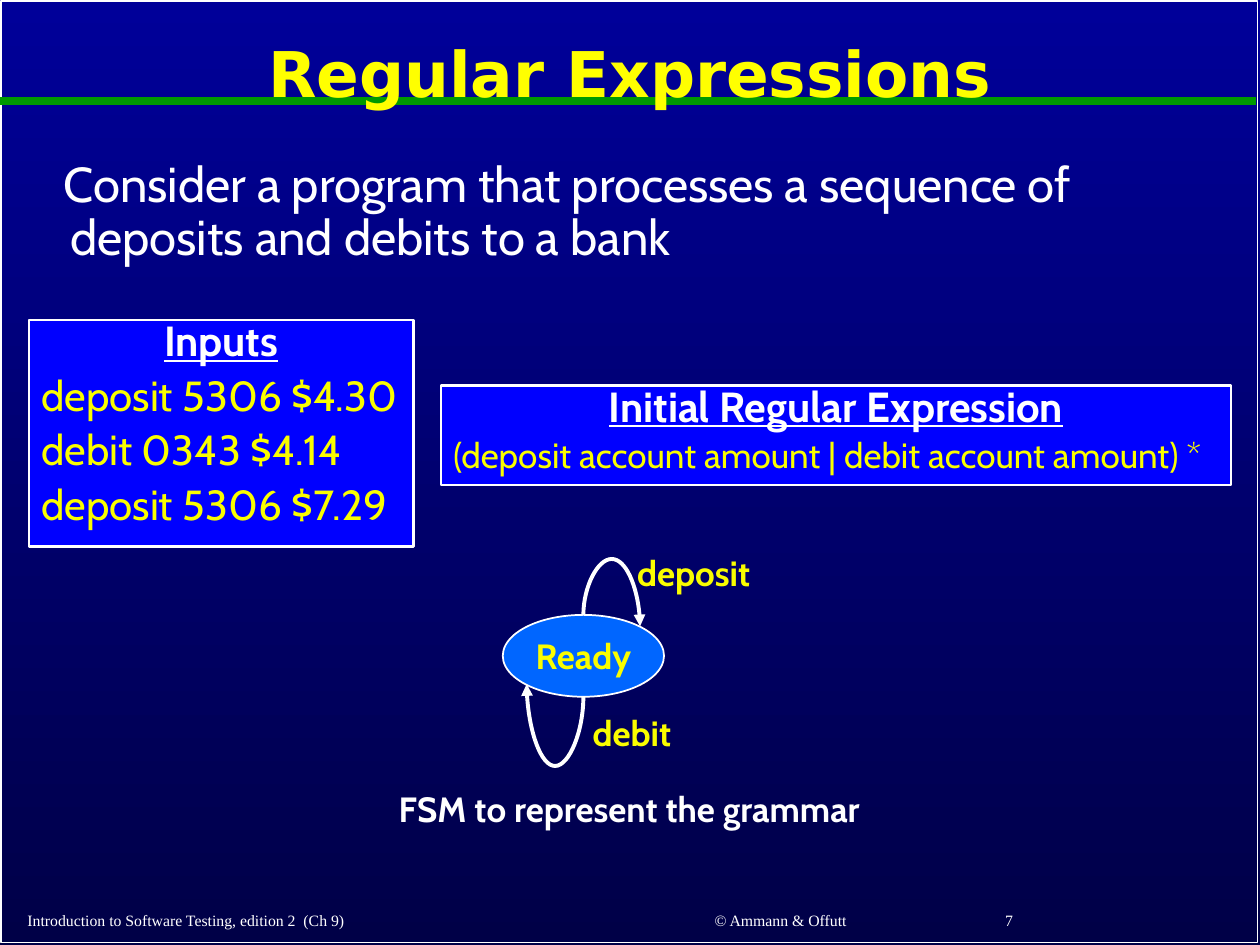
from lxml import etree
from pptx import Presentation
from pptx import util as u
from pptx.dml.color import RGBColor
from pptx.enum import shapes, text
from pptx.oxml.ns import qn

COLORS = {
    "top": "000099", "bottom": "000047", "white": "FFFFFF", "rule": "009900",
    "title": "FFFF00", "yellow": "FAFD00", "panel": "0000FF", "state": "0066FF",
}
LEFT, CENTER = text.PP_ALIGN.LEFT, text.PP_ALIGN.CENTER
TOP, MIDDLE, BOTTOM = (text.MSO_ANCHOR.TOP, text.MSO_ANCHOR.MIDDLE,
                       text.MSO_ANCHOR.BOTTOM)

presentation = Presentation()
presentation.slide_width = u.Inches(10)
presentation.slide_height = u.Inches(7.5)
COLUMN = presentation.slide_width / 100
ROW = presentation.slide_height / 75
slide = presentation.slides.add_slide(presentation.slide_layouts[6])


def write(shape, lines, anchor=TOP, wrap=True, spacing=None, before=None, **defaults):
    """Fill a shape with (text, format) lines; before is a percentage of the line."""
    frame = shape.text_frame
    frame.word_wrap = wrap
    frame.vertical_anchor = anchor
    for index, (words, own) in enumerate(lines):
        look = {"size": 20, "name": "Cabin", "bold": False, "underline": False,
                "color": "white", "align": LEFT, **defaults, **own}
        paragraph = frame.paragraphs[0] if index == 0 else frame.add_paragraph()
        paragraph.alignment = look["align"]
        if spacing:
            paragraph.line_spacing = spacing
        if before:
            space = etree.SubElement(paragraph._p.get_or_add_pPr(), qn("a:spcBef"))
            etree.SubElement(space, qn("a:spcPct"), val=str(before * 1000))
        run = paragraph.add_run()
        run.text = words
        for key in ("name", "bold", "underline"):
            setattr(run.font, key, look[key])
        run.font.size = u.Pt(look["size"])
        run.font.color.rgb = RGBColor.from_string(COLORS[look["color"]])


def draw_line(kind, start, end, color, width):
    """Add a connector without a shadow between two (column, row) points."""
    line = slide.shapes.add_connector(
        kind, *(int(value * unit) for point in (start, end)
                for value, unit in zip(point, (COLUMN, ROW))))
    line.line.color.rgb = RGBColor.from_string(COLORS[color])
    line.line.width = u.Pt(width)
    etree.SubElement(line._element.spPr, qn("a:effectLst"))
    return line


# Background
fill = slide.background.fill
fill.gradient()
fill.gradient_angle = 270
for stop, position, color in zip(fill.gradient_stops, (0, 1), ("top", "bottom")):
    stop.position = position
    stop.color.rgb = RGBColor.from_string(COLORS[color])

# Frame, panels and state: preset, place, fill, line width, lines, format
RECTANGLE, OVAL = shapes.MSO_SHAPE.RECTANGLE, shapes.MSO_SHAPE.OVAL
heading = {"size": 24, "bold": True, "underline": True, "align": CENTER}
entry = {"size": 24, "color": "yellow"}
panel = {"spacing": 0.75, "before": 40}
blocks = [
    (RECTANGLE, (0.1, 0.1, 99.7, 74.7), None, 1, [], {}),
    (RECTANGLE, (2.3, 25.4, 30.5, 18), "panel", 1.5,
     [("Inputs", heading), ("deposit 5306 $4.30", entry),
      ("debit 0343 $4.14", entry), ("deposit 5306 $7.29", entry)], panel),
    (RECTANGLE, (35, 30.6, 62.7, 7.9), "panel", 1.5,
     [("Initial Regular Expression", heading),
      ("(deposit account amount | debit account amount) *", {"color": "yellow"})],
     panel),
    (OVAL, (39.9, 48.8, 12.8, 6.5), "state", 1, [("Ready", {})],
     {"anchor": MIDDLE, "wrap": False, "bold": True, "color": "yellow",
      "align": CENTER}),
]
for preset, (left, top, width, height), color, weight, lines, look in blocks:
    shape = slide.shapes.add_shape(preset, int(left * COLUMN), int(top * ROW),
                                   int(width * COLUMN), int(height * ROW))
    shape.shadow.inherit = False
    shape.line.color.rgb = RGBColor.from_string(COLORS["white"])
    shape.line.width = u.Pt(weight)
    if color:
        shape.fill.solid()
        shape.fill.fore_color.rgb = RGBColor.from_string(COLORS[color])
    else:
        shape.fill.background()
    write(shape, lines, **look)

draw_line(shapes.MSO_CONNECTOR.STRAIGHT, (0, 8), (99.7, 8), "rule", 4.5)

# Transitions: each loop is a flipped curve turned by a quarter, bulging outwards
for start, end, turn, bulge in [((46.3, 48.8), (50.8, 49.7), 90, -4.93),
                                ((46.3, 55.3), (41.8, 54.3), 270, -5.5)]:
    middle_x, middle_y = ((a + b) / 2 for a, b in zip(start, end))
    half_height, half_width = (abs(a - b) / 2 for a, b in zip(start, end))
    loop = draw_line(shapes.MSO_CONNECTOR.CURVE,
                     (middle_x - half_width, middle_y + half_height),
                     (middle_x + half_width, middle_y - half_height), "white", 2.25)
    properties = loop._element.spPr
    properties.find(qn("a:xfrm")).set("rot", str(turn * 60000))
    guides = properties.find(qn("a:prstGeom")).find(qn("a:avLst"))
    etree.SubElement(guides, qn("a:gd"), name="adj1", fmla=f"val {bulge * 100000:.0f}")
    etree.SubElement(properties.find(qn("a:ln")), qn("a:tailEnd"), type="triangle")

# Text boxes: words, place, format
footer = {"anchor": BOTTOM, "size": 9, "name": "Times New Roman"}
label = {"bold": True, "align": CENTER, "before": 50}
texts = [
    ("Regular Expressions", (1, 1.1, 98, 10),
     {"anchor": MIDDLE, "spacing": 0.9, "size": 36, "name": "DejaVu Sans",
      "bold": True, "color": "title", "align": CENTER}),
    ("Consider a program that processes a sequence of deposits and debits to a bank",
     (1.5, 12.2, 97, 9.8), {"spacing": 0.9, "before": 30, "size": 28}),
    ("deposit", (49.1, 43.3, 11.9, 4.4), {**label, "color": "yellow"}),
    ("debit", (45.2, 56, 9.9, 4.4), {**label, "color": "yellow"}),
    ("FSM to represent the grammar", (29.4, 62, 41.1, 7.7), label),
    ("Introduction to Software Testing, edition 2  (Ch 9)",
     (1.2, 71.2, 42.7, 3.1), footer),
    ("© Ammann & Offutt", (46.1, 71.5, 31.7, 2.8), {**footer, "align": CENTER}),
    ("7", (78.8, 71.4, 19.7, 2.9), footer),
]
for words, (left, top, width, height), look in texts:
    box = slide.shapes.add_textbox(int(left * COLUMN), int(top * ROW),
                                   int(width * COLUMN), int(height * ROW))
    write(box, [(words, {})], **look)
    if words.startswith("Consider"):
        indents = box.text_frame.paragraphs[0]._p.get_or_add_pPr()
        indents.set("marL", str(u.Inches(0.31)))
        indents.set("indent", str(u.Inches(-0.05)))

presentation.save("out.pptx")
